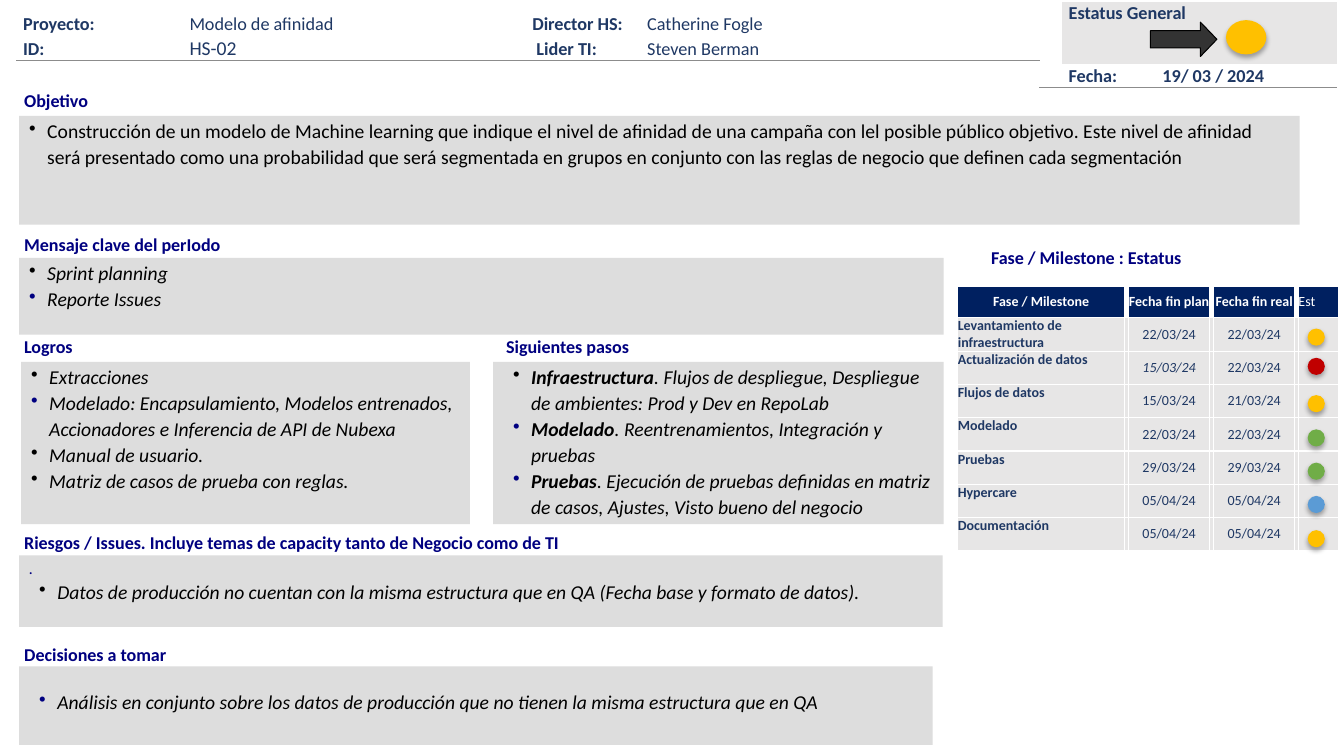
from lxml import etree
from pptx import Presentation, util as u
from pptx.dml.color import RGBColor
from pptx.enum import shapes, text
from pptx.oxml.ns import qn

NAVY, INK, BLACK, WHITE = "000080", "1F3864", "000000", "FFFFFF"
GREY, PALE, DEEP, RULE = "DDDDDD", "E7E6E6", "002060", "8C8C8C"
GOLD, RED, GREEN, BLUE = "FFC000", "C00000", "70AD47", "5B9BD5"
PLAIN = "{2D5ABB26-0587-4C30-8999-92F81FD0307C}"
MID, LOW, TOP = text.MSO_ANCHOR.MIDDLE, text.MSO_ANCHOR.BOTTOM, text.MSO_ANCHOR.TOP
MARK = (0.28, -0.18)

LABELS = [
    ("Objetivo", 0.19, 0.84, 0.77),
    ("Mensaje clave del perIodo", 0.19, 2.27, 2.52),
    ("Fase / Milestone : Estatus", 9.78, 2.4, 2.77),
    ("Logros", 0.19, 3.28, 0.66),
    ("Siguientes pasos", 4.97, 3.28, 2.14),
    ("Riesgos / Issues. Incluye temas de capacity tanto de Negocio como de TI", 0.19, 5.22, 5.73),
    ("Decisiones a tomar", 0.19, 6.33, 2.52),
]
PANELS = [
    ((0.19, 1.15, 12.7, 1.08), 0.01, (0.18, -0.2), False, [
        (BLACK, "", "Construcción de un modelo de Machine learning que indique el nivel de afinidad de una campaña con lel posible público objetivo. Este nivel de afinidad será presentado como una probabilidad que será segmentada en grupos en conjunto con las reglas de negocio que definen cada segmentación")]),
    ((0.19, 2.56, 9.17, 0.76), 0.01, (0.18, -0.19), True, [
        (BLACK, "", "Sprint planning"), (NAVY, "", "Reporte Issues")]),
    ((0.21, 3.59, 4.45, 1.61), 0.01, (0.18, -0.2), True, [
        (BLACK, "", "Extracciones"),
        (NAVY, "", "Modelado: Encapsulamiento, Modelos entrenados, Accionadores e Inferencia de API de Nubexa"),
        (BLACK, "", "Manual de usuario."),
        (BLACK, "", "Matriz de casos de prueba con reglas.")]),
    ((4.89, 3.59, 4.47, 1.61), 0.01, MARK, True, [
        (BLACK, "Infraestructura", ". Flujos de despliegue, Despliegue de ambientes: Prod y Dev en RepoLab"),
        (NAVY, "Modelado", ". Reentrenamientos, Integración y pruebas"),
        (NAVY, "Pruebas", ". Ejecución de pruebas definidas en matriz de casos, Ajustes, Visto bueno del negocio")]),
    ((0.19, 5.51, 9.16, 0.71), 0.01, MARK, True, [
        (None, "", "."),
        (BLACK, "", "Datos de producción no cuentan con la misma estructura que en QA (Fecha base y formato de datos).")]),
    ((0.19, 6.61, 9.06, 0.78), 0.21, MARK, True, [
        (NAVY, "", "Análisis en conjunto sobre los datos de producción que no tienen la misma estructura que en QA")]),
]
PROJECT = [
    ("Proyecto:", "Modelo de afinidad", "Director HS:", "Catherine Fogle"),
    ("ID:", "HS-02", " Lider TI:", "Steven Berman"),
]
HEADS = ("Fase / Milestone", "Fecha fin plan", "Fecha fin real", "Est")
PHASES = [
    ("Levantamiento de infraestructura", "22/03/24", "22/03/24", GOLD, 3.26),
    ("Actualización de datos", "15/03/24", "22/03/24", RED, 3.55),
    ("Flujos de datos", "15/03/24", "21/03/24", GOLD, 3.92),
    ("Modelado", "22/03/24", "22/03/24", GREEN, 4.26),
    ("Pruebas", "29/03/24", "29/03/24", GREEN, 4.59),
    ("Hypercare", "05/04/24", "05/04/24", BLUE, 4.92),
    ("Documentación", "05/04/24", "05/04/24", GOLD, 5.26),
]


def tint(code):
    return RGBColor.from_string(code)


def write(para, words, size=14, color=BLACK, bold=False, ital=False, mid=False):
    run = para.add_run()
    run.text = words
    font = run.font
    font.name, font.size, font.bold, font.italic = "Calibri", u.Pt(size), bold, ital
    font.color.rgb = tint(color)
    para.alignment = text.PP_ALIGN.CENTER if mid else text.PP_ALIGN.LEFT


def inset(frame, *sides):
    (frame.margin_left, frame.margin_top,
     frame.margin_right, frame.margin_bottom) = map(u.Inches, sides)


def bullet(para, color, left, hang):
    props = para._p.get_or_add_pPr()
    props.set("marL", str(u.Inches(left)))
    props.set("indent", str(u.Inches(hang)))
    shade = etree.SubElement(props, qn("a:buClr"))
    etree.SubElement(shade, qn("a:srgbClr"), val=color)
    etree.SubElement(props, qn("a:buChar"), char="•")


def draw(kind, box, fill, shadow=None):
    item = slide.shapes.add_shape(kind, *map(u.Inches, box))
    item.shadow.inherit = False
    item.fill.solid()
    item.fill.fore_color.rgb = tint(fill)
    item.line.fill.background()
    if shadow:
        color, alpha, blur, dist, turn = shadow
        effect = item._element.spPr.find(qn("a:effectLst"))
        cast = etree.SubElement(effect, qn("a:outerShdw"), blurRad=str(u.Pt(blur)),
                                dist=str(u.Pt(dist)), dir=str(turn * 60000))
        shade = etree.SubElement(cast, qn("a:srgbClr"), val=color)
        etree.SubElement(shade, qn("a:alpha"), val=str(alpha * 1000))
    return item


def grid(left, top, cols, rows):
    size = (left, top, sum(cols), sum(rows))
    table = slide.shapes.add_table(len(rows), len(cols), *map(u.Inches, size)).table
    table.first_row = table.horz_banding = False
    table._tbl.tblPr.find(qn("a:tableStyleId")).text = PLAIN
    for col, wide in zip(table.columns, cols):
        col.width = u.Inches(wide)
    for row, high in zip(table.rows, rows):
        row.height = u.Inches(high)
    for cell in table.iter_cells():
        inset(cell, 0, 0, 0, 0)
        cell.fill.background()
        cell.text_frame.paragraphs[0]._p.get_or_add_endParaRPr().set("sz", "800")
    return table


def put(cell, words, anchor=MID, left=0, **style):
    cell.vertical_anchor = anchor
    cell.margin_left = u.Inches(left)
    write(cell.text_frame.paragraphs[0], words, **style)


def paint(cell, color):
    cell.fill.solid()
    cell.fill.fore_color.rgb = tint(color)


def edge(cell, sides, color, width):
    props = cell._tc.get_or_add_tcPr()
    for spot, side in enumerate(sides):
        line = etree.Element(qn("a:ln" + side), w=str(u.Pt(width)))
        fill = etree.SubElement(line, qn("a:solidFill"))
        etree.SubElement(fill, qn("a:srgbClr"), val=color)
        props.insert(spot, line)


deck = Presentation()
deck.slide_width, deck.slide_height = u.Inches(13.33), u.Inches(7.5)
slide = deck.slides.add_slide(deck.slide_layouts[6])
kinds = shapes.MSO_SHAPE

for box, top, indent, ital, lines in PANELS:
    frame = draw(kinds.RECTANGLE, box, GREY).text_frame
    frame.word_wrap = True
    frame.vertical_anchor = TOP
    inset(frame, 0.1, top, 0.1, 0.01)
    for spot, (mark, lead, words) in enumerate(lines):
        para = frame.add_paragraph() if spot else frame.paragraphs[0]
        para.line_spacing = 1.1
        if lead:
            write(para, lead, bold=True, ital=ital)
        if mark:
            write(para, words, ital=ital)
            bullet(para, mark, *indent)
        else:
            write(para, words, size=11.5, color=NAVY, ital=ital)

for words, left, top, wide in LABELS:
    frame = slide.shapes.add_textbox(*map(u.Inches, (left, top, wide, 0.32))).text_frame
    frame.word_wrap = True
    inset(frame, *[0.05] * 4)
    write(frame.paragraphs[0], words, size=12.9, color=NAVY, bold=True)

state = grid(10.31, 0.02, (0.22, 0.93, 1.8), (0.2, 0.2, 0.2, 0.23))
state.cell(0, 1).merge(state.cell(2, 2))
paint(state.cell(0, 1), PALE)
for spot, anchor, words in ((1, TOP, "Estatus General"), (10, LOW, "Fecha:"), (11, LOW, "19/ 03 / 2024")):
    put(state.cell(*divmod(spot, 3)), words, anchor, 0.07, size=13, color=INK, bold=True)
for cell in state.rows[3].cells:
    edge(cell, "B", RULE, 1)

project = grid(0.16, 0.1, (1.65, 3.4, 1.14, 3.97), (0.25, 0.25))
for r, row in enumerate(PROJECT):
    for c, words in enumerate(row):
        put(project.cell(r, c), words, LOW, 0.07, color=INK, bold=c % 2 == 0,
            size=14 if words == "HS-02" else 13)
        if r:
            edge(project.cell(r, c), "B", RULE, 1)

plan = grid(9.5, 2.84, (1.65, 0.04, 0.81, 0.03, 0.8, 0.03, 0.4), [0.31] + [0.33] * 7)
for c, words in enumerate(HEADS):
    paint(plan.cell(0, c * 2), DEEP)
    put(plan.cell(0, c * 2), words, size=10, color=WHITE, bold=c < 3, mid=c < 3)
for r, (name, due, done, color, top) in enumerate(PHASES, 1):
    for cell in plan.rows[r].cells:
        paint(cell, PALE)
    put(plan.cell(r, 0), name, MID if r == 1 else TOP, size=10, color=INK, bold=True)
    put(plan.cell(r, 2), due, size=10, color=INK, ital=r == 2, mid=True)
    put(plan.cell(r, 4), done, size=10, color=INK, mid=True)
    draw(kinds.FLOWCHART_CONNECTOR, (12.97, top, 0.17, 0.17), color, (BLACK, 32, 3.5, 2.2, 90))
for cell in plan.iter_cells():
    edge(cell, "LRTB", WHITE, 1)

arrow = draw(kinds.RIGHT_ARROW, (11.41, 0.22, 0.66, 0.34), "333333", (PALE, 100, 0, 2.8, 45))
arrow.adjustments[1] = 0.48
arrow.line.color.rgb = tint(BLACK)
arrow.line.width = u.Pt(0.75)
draw(kinds.OVAL, (12.16, 0.2, 0.4, 0.34), GOLD, (BLACK, 32, 3.5, 2.2, 90))

deck.save("out.pptx")
